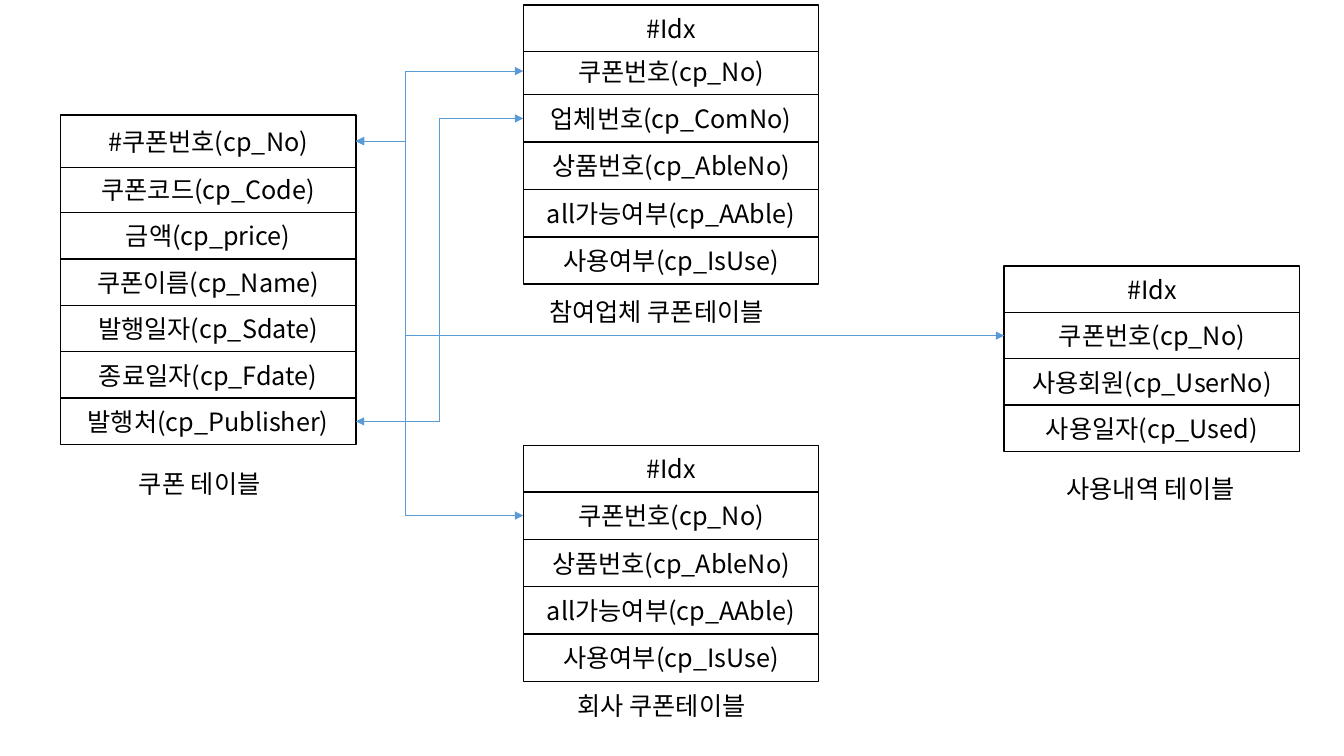
from lxml import etree
from pptx import Presentation
from pptx.dml.color import RGBColor
from pptx.enum.shapes import MSO_CONNECTOR, MSO_SHAPE
from pptx.enum.text import MSO_ANCHOR, MSO_AUTO_SIZE, PP_ALIGN
from pptx.oxml.ns import qn
from pptx.util import Inches, Pt

BLACK = RGBColor(0x00, 0x00, 0x00)
WHITE = RGBColor(0xFF, 0xFF, 0xFF)
BLUE = RGBColor(0x5B, 0x9B, 0xD5)
LEFT_SITE, RIGHT_SITE = 1, 3


class SchemaSlide:
    """Draws database tables, captions and relations on one slide."""

    font = "Noto Sans CJK KR"
    size = Pt(18)
    width = 2.93

    def __init__(self, slide):
        self.shapes = slide.shapes

    def label(self, frame, text, align):
        paragraph = frame.paragraphs[0]
        paragraph.alignment = align
        run = paragraph.add_run()
        run.text = text
        run.font.name, run.font.size = self.font, self.size
        run.font.color.rgb = BLACK
        east_asian = etree.SubElement(run.font._element, qn("a:ea"))
        east_asian.set("typeface", self.font)

    def field(self, text, left, top, height):
        box = self.shapes.add_shape(
            MSO_SHAPE.RECTANGLE, Inches(left), Inches(top),
            Inches(self.width), Inches(height))
        box.shadow.inherit = False
        box.fill.solid()
        box.fill.fore_color.rgb = WHITE
        box.line.color.rgb = BLACK
        box.line.width = Pt(1)
        box.text_frame.vertical_anchor = MSO_ANCHOR.MIDDLE
        self.label(box.text_frame, text, PP_ALIGN.CENTER)
        return box

    def table(self, left, key_top, key_height, top, pitch, key, names):
        fields = [self.field(name, left, top + i * pitch, pitch)
                  for i, name in enumerate(names)]
        return [self.field(key, left, key_top, key_height)] + fields

    def caption(self, text, left, top, width):
        box = self.shapes.add_textbox(
            Inches(left), Inches(top), Inches(width), Inches(0.4))
        box.text_frame.word_wrap = False
        box.text_frame.auto_size = MSO_AUTO_SIZE.SHAPE_TO_FIT_TEXT
        self.label(box.text_frame, text, PP_ALIGN.LEFT)

    def relation(self, source, target, bend):
        link = self.shapes.add_connector(MSO_CONNECTOR.ELBOW, 0, 0, 0, 0)
        link.begin_connect(source, RIGHT_SITE)
        link.end_connect(target, LEFT_SITE)
        link.line.color.rgb = BLUE
        link.line.width = Pt(0.5)
        properties = link._element.spPr
        line = properties.find(qn("a:ln"))
        for end in ("a:headEnd", "a:tailEnd"):
            etree.SubElement(line, qn(end)).set("type", "triangle")
        etree.SubElement(properties, qn("a:effectLst"))
        ratio = (Inches(bend) - link.begin_x) / (link.end_x - link.begin_x)
        adjustments = properties.find(qn("a:prstGeom")).find(qn("a:avLst"))
        guide = etree.SubElement(adjustments, qn("a:gd"))
        guide.set("name", "adj1")
        guide.set("fmla", f"val {round(ratio * 100000)}")


presentation = Presentation()
presentation.slide_width = Inches(13.33)
presentation.slide_height = Inches(7.5)
schema = SchemaSlide(presentation.slides.add_slide(presentation.slide_layouts[6]))

COUPON_NO = "쿠폰번호(cp_No)"
AVAILABILITY = ["상품번호(cp_AbleNo)", "all가능여부(cp_AAble)", "사용여부(cp_IsUse)"]

coupon = schema.table(
    0.6, 1.14, 0.52, 1.65, 0.46, "#" + COUPON_NO,
    ["쿠폰코드(cp_Code)", "금액(cp_price)", "쿠폰이름(cp_Name)",
     "발행일자(cp_Sdate)", "종료일자(cp_Fdate)", "발행처(cp_Publisher)"])
partner = schema.table(
    5.19, 0.05, 0.46, 0.47, 0.47, "#Idx",
    [COUPON_NO, "업체번호(cp_ComNo)"] + AVAILABILITY)
company = schema.table(
    5.19, 4.42, 0.46, 4.88, 0.47, "#Idx", [COUPON_NO] + AVAILABILITY)
usage = schema.table(
    9.96, 2.64, 0.46, 3.1, 0.46, "#Idx",
    [COUPON_NO, "사용회원(cp_UserNo)", "사용일자(cp_Used)"])

for caption in (("쿠폰 테이블", 1.28, 4.6, 1.55),
                ("참여업체 쿠폰테이블", 5.35, 2.89, 2.68),
                ("회사 쿠폰테이블", 5.63, 6.8, 2.06),
                ("사용내역 테이블", 10.48, 4.65, 2.06)):
    schema.caption(*caption)

schema.relation(coupon[-1], partner[2], 4.36)
for related in (partner, company, usage):
    schema.relation(coupon[0], related[1], 4.02)

presentation.save("out.pptx")
